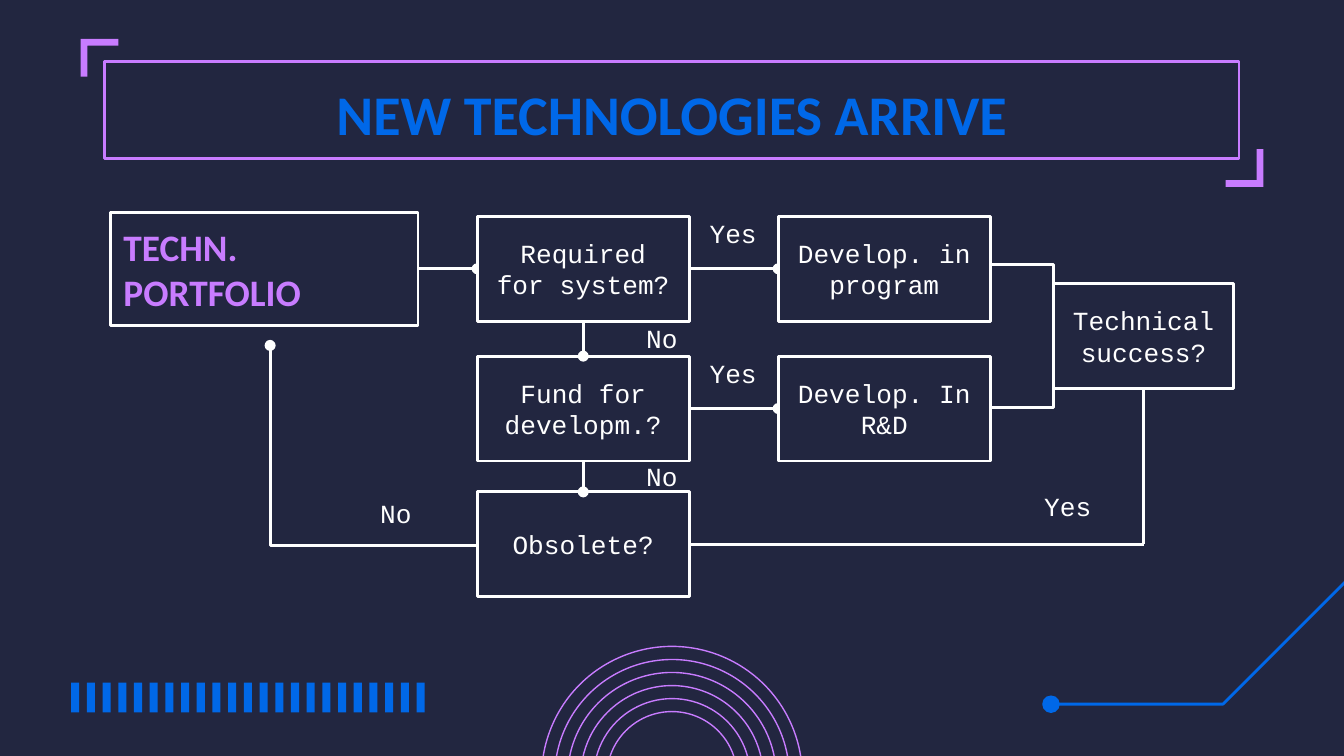
from dataclasses import dataclass

from lxml import etree
from pptx import Presentation
from pptx.dml.color import RGBColor
from pptx.enum import shapes, text
from pptx.oxml import ns
from pptx.util import Inches, Pt


@dataclass(frozen=True)
class Theme:
    night: RGBColor = RGBColor.from_string("222640")
    violet: RGBColor = RGBColor.from_string("C87CFF")
    blue: RGBColor = RGBColor.from_string("0068E8")
    white: RGBColor = RGBColor.from_string("FFFFFF")
    heading_font: str = "Calibri"
    body_font: str = "Courier New"
    title_size: Pt = Pt(30)
    portfolio_size: Pt = Pt(20)
    body_size: Pt = Pt(14)
    thin: Pt = Pt(0.75)
    stroke: Pt = Pt(1.5)


THEME = Theme()
TOP, LEFT, BOTTOM, RIGHT = range(4)


def paint(shape, fill=None, line=None, width=THEME.stroke):
    shape.shadow.inherit = False
    if fill is None:
        shape.fill.background()
    else:
        shape.fill.solid()
        shape.fill.fore_color.rgb = fill
    if line is None:
        shape.line.fill.background()
    else:
        shape.line.color.rgb = line
        shape.line.width = width


def add_preset(slide, preset, area, **style):
    shape = slide.shapes.add_shape(preset, *map(Inches, area))
    paint(shape, **style)
    return shape


def add_outline(slide, contours, closed=True, **style):
    contours = [[(Inches(x), Inches(y)) for x, y in c] for c in contours]
    first, *others = contours
    builder = slide.shapes.build_freeform(*first[0])
    builder.add_line_segments(first[1:], close=closed)
    for contour in others:
        builder.move_to(*contour[0])
        builder.add_line_segments(contour[1:], close=closed)
    outline = builder.convert_to_shape()
    paint(outline, **style)
    return outline


def add_dot_end(shape):
    shape.line.fill.solid()
    shape.line.color.rgb = THEME.white
    properties = shape.element.find(ns.qn("p:spPr"))
    etree.SubElement(properties.find(ns.qn("a:ln")), ns.qn("a:tailEnd"), type="oval")


def write(shape, wording, size=THEME.body_size, font=THEME.body_font,
          color=THEME.white, bold=False, align=text.PP_ALIGN.CENTER,
          anchor=text.MSO_ANCHOR.MIDDLE):
    frame = shape.text_frame
    frame.word_wrap = True
    frame.vertical_anchor = anchor
    paragraph = frame.paragraphs[0]
    paragraph.text = wording
    paragraph.alignment = align
    paragraph.font.size = size
    paragraph.font.name = font
    paragraph.font.bold = bold
    paragraph.font.color.rgb = color


def add_step(slide, wording, left, top, width=1.58):
    step = add_preset(slide, shapes.MSO_SHAPE.RECTANGLE, (left, top, width, 0.78),
                      fill=THEME.night, line=THEME.white)
    write(step, wording)
    return step


def add_answer(slide, wording, left, top):
    answer = slide.shapes.add_textbox(*map(Inches, (left, top, 0.91, 0.31)))
    write(answer, wording)


def add_link(slide, source, side, target=None, target_side=None, end=(0, 0)):
    link = slide.shapes.add_connector(
        shapes.MSO_CONNECTOR.STRAIGHT, 0, 0, *map(Inches, end))
    link.begin_connect(source, side)
    link.line.color.rgb = THEME.white
    link.line.width = THEME.stroke
    if target is not None:
        link.end_connect(target, target_side)
        add_dot_end(link)
    properties = link.element.find(ns.qn("p:spPr"))
    etree.SubElement(properties, ns.qn("a:effectLst"))


def add_decoration(slide):
    center_x, center_y = 5, 5.78
    for ring in range(5, 11):
        radius = 0.97 * ring / 10
        add_preset(slide, shapes.MSO_SHAPE.OVAL,
                   (center_x - radius, center_y - radius, 2 * radius, 2 * radius),
                   line=THEME.violet, width=THEME.thin)

    bar_count, bar_width, top, bottom = 23, 0.06, 5.08, 5.3
    lefts = [0.53 + 2.57 * i / (bar_count - 1) for i in range(bar_count)]
    add_outline(slide, [[(x, top), (x, bottom), (x + bar_width, bottom),
                         (x + bar_width, top)] for x in lefts], fill=THEME.blue)

    add_preset(slide, shapes.MSO_SHAPE.OVAL, (7.76, 5.18, 0.12, 0.12),
               fill=THEME.blue, line=THEME.blue, width=THEME.thin)
    add_outline(slide, [[(10.56, 3.78), (9.1, 5.24), (7.82, 5.24)]],
                closed=False, line=THEME.blue)


def add_bracket(slide, x, y, direction):
    arm, thick = 0.28 * direction, 0.05 * direction
    add_outline(slide, [[(x, y + arm), (x, y), (x + arm, y), (x + arm, y + thick),
                         (x + thick, y + thick), (x + thick, y + arm)]],
                fill=THEME.violet)


def add_title(slide):
    add_preset(slide, shapes.MSO_SHAPE.RECTANGLE, (0.78, 0.46, 8.44, 0.72),
               line=THEME.violet)
    add_bracket(slide, 9.4, 1.39, -1)
    add_bracket(slide, 0.6, 0.29, 1)
    title = slide.shapes.add_textbox(*map(Inches, (0.78, 0.49, 8.44, 0.63)))
    title.text_frame.margin_top = title.text_frame.margin_bottom = Inches(0.1)
    write(title, "NEW TECHNOLOGIES ARRIVE", THEME.title_size, THEME.heading_font,
          THEME.blue, bold=True, anchor=text.MSO_ANCHOR.TOP)


def add_flow(slide):
    back_to_portfolio = add_outline(
        slide, [[(3.59, 4.06), (2.01, 4.06), (2.01, 2.57)]],
        closed=False, line=THEME.white)
    add_dot_end(back_to_portfolio)
    add_outline(slide, [[(7.3, 1.97), (7.84, 1.97), (7.84, 3.03), (7.34, 3.03)]],
                closed=False, line=THEME.white)

    portfolio = add_preset(slide, shapes.MSO_SHAPE.RECTANGLE,
                           (0.82, 1.58, 2.29, 0.84), line=THEME.white)
    write(portfolio, "TECHN. PORTFOLIO", THEME.portfolio_size, THEME.heading_font,
          THEME.violet, bold=True, align=text.PP_ALIGN.LEFT)

    required = add_step(slide, "Required for system?", 3.55, 1.61)
    fund = add_step(slide, "Fund for developm.?", 3.55, 2.65)
    obsolete = add_step(slide, "Obsolete?", 3.55, 3.66)
    in_program = add_step(slide, "Develop. in program", 5.79, 1.61)
    in_research = add_step(slide, "Develop. In R&D", 5.79, 2.65)
    success = add_step(slide, "Technical success?", 7.84, 2.11, 1.34)

    for source, target in ((portfolio, required), (required, in_program),
                           (fund, in_research)):
        add_link(slide, source, RIGHT, target, LEFT)
    for step in (required, in_program, in_research):
        slide.shapes.element.append(step.element)
    for source, target in ((required, fund), (fund, obsolete)):
        add_link(slide, source, BOTTOM, target, TOP)

    add_link(slide, success, BOTTOM, end=(8.51, 4.05))
    add_link(slide, obsolete, RIGHT, end=(8.51, 4.05))

    for wording, left, top in (("No", 2.49, 3.66), ("Yes", 5, 1.58),
                               ("No", 4.47, 2.36), ("No", 4.47, 3.39),
                               ("Yes", 5, 2.62), ("Yes", 7.49, 3.61)):
        add_answer(slide, wording, left, top)


def main():
    deck = Presentation()
    deck.slide_width = Inches(10)
    deck.slide_height = deck.slide_width * 9 // 16
    slide = deck.slides.add_slide(deck.slide_layouts[6])
    slide.background.fill.solid()
    slide.background.fill.fore_color.rgb = THEME.night
    add_decoration(slide)
    add_title(slide)
    add_flow(slide)
    deck.save("out.pptx")


if __name__ == "__main__":
    main()
